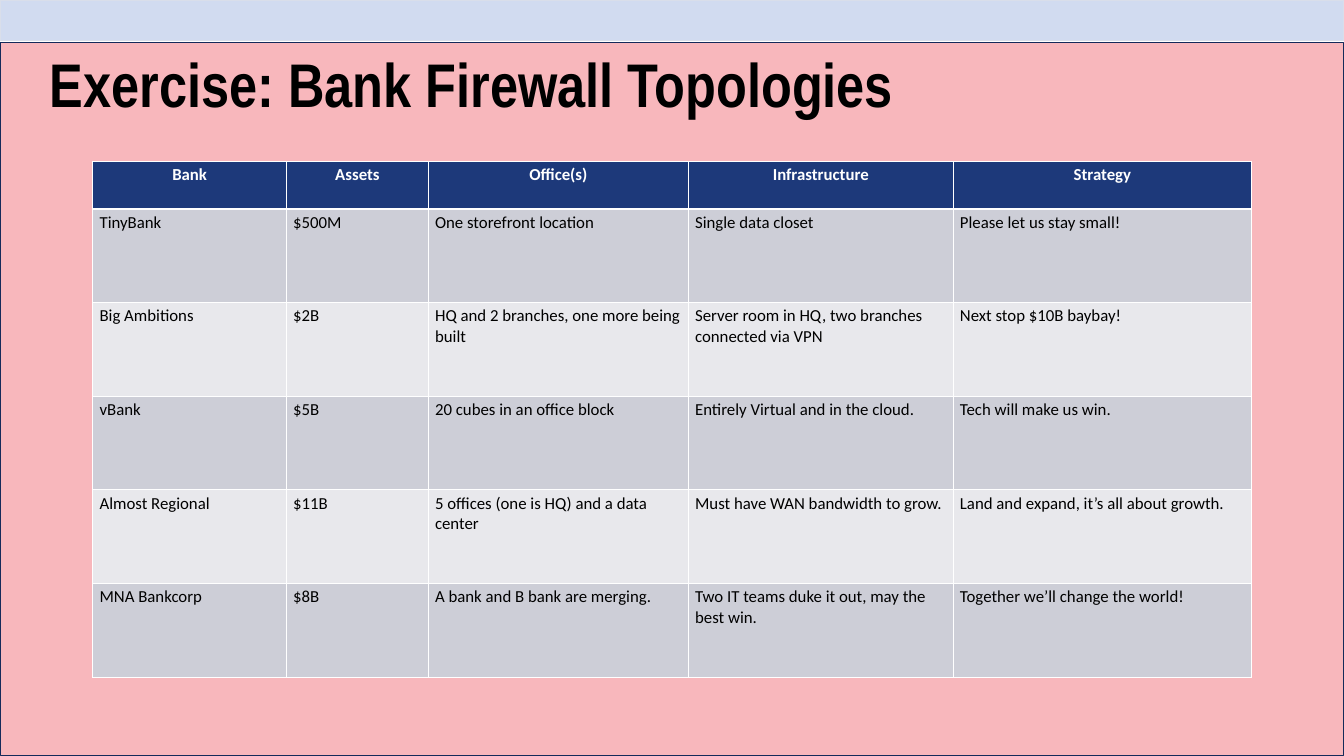
from dataclasses import dataclass

from lxml import etree
from pptx import Presentation
from pptx import util as u
from pptx.dml.color import RGBColor
from pptx.enum import shapes, text
from pptx.oxml import ns


@dataclass(frozen=True)
class Theme:
    strip: str = "D1DBF0"
    strip_line: str = "D9DEEA"
    panel: str = "EE4C59"
    panel_line: str = "152A5A"
    panel_opacity: int = 40
    header: str = "1D397A"
    bands: tuple = ("CDCED7", "E8E8EC")
    light: str = "FFFFFF"
    dark: str = "000000"
    title_font: str = "Arial Narrow"
    body_font: str = "Calibri"
    title_size: int = 66
    body_size: int = 18


theme = Theme()


def add_run(paragraph, words, font, size, color, bold):
    run = paragraph.add_run()
    run.text = words
    run.font.name = font
    run.font.size = u.Pt(size)
    run.font.bold = bold
    run.font.color.rgb = RGBColor.from_string(color)


def add_border(cell, side, points):
    """Draw one cell edge; call before the cell gets its fill."""
    properties = cell._tc.get_or_add_tcPr()
    line = etree.SubElement(properties, ns.qn(f"a:ln{side}"), w=str(u.Pt(points)))
    fill = etree.SubElement(line, ns.qn("a:solidFill"))
    etree.SubElement(fill, ns.qn("a:srgbClr"), val=theme.light)


presentation = Presentation()
presentation.slide_width = u.Cm(50.8)
presentation.slide_height = u.Cm(28.58)
slide = presentation.slides.add_slide(presentation.slide_layouts[6])

# Top strip and tinted panel
for top, height, color, line_color, opacity in (
    (0, 1.52, theme.strip, theme.strip_line, 100),
    (1.6, 26.98, theme.panel, theme.panel_line, theme.panel_opacity),
):
    shape = slide.shapes.add_shape(
        shapes.MSO_SHAPE.RECTANGLE, 0, u.Cm(top), presentation.slide_width, u.Cm(height)
    )
    shape.shadow.inherit = False
    shape.fill.solid()
    shape.fill.fore_color.rgb = RGBColor.from_string(color)
    shape.line.color.rgb = RGBColor.from_string(line_color)
    shape.line.width = u.Pt(1)
    if opacity < 100:
        fill_color = shape._element.spPr.find(ns.qn("a:solidFill"))[0]
        etree.SubElement(fill_color, ns.qn("a:alpha"), val=str(opacity * 1000))

# Title
title = slide.shapes.add_textbox(u.Cm(1.63), u.Cm(0.56), u.Cm(43.82), u.Cm(5.51))
title.text_frame.word_wrap = True
title.text_frame.vertical_anchor = text.MSO_ANCHOR.MIDDLE
paragraph = title.text_frame.paragraphs[0]
paragraph.line_spacing = 0.9
add_run(paragraph, "Exercise: Bank Firewall Topologies",
        theme.title_font, theme.title_size, theme.dark, True)

# Bank table
banks = [
    ("Bank", "Assets", "Office(s)", "Infrastructure", "Strategy"),
    ("TinyBank", "$500M", "One storefront location", "Single data closet",
     "Please let us stay small!"),
    ("Big Ambitions", "$2B", "HQ and 2 branches, one more being built",
     "Server room in HQ, two branches connected via VPN", "Next stop $10B baybay!"),
    ("vBank", "$5B", "20 cubes in an office block",
     "Entirely Virtual and in the cloud.", "Tech will make us win."),
    ("Almost Regional", "$11B", "5 offices (one is HQ) and a data center",
     "Must have WAN bandwidth to grow.", "Land and expand, it’s all about growth."),
    ("MNA Bankcorp", "$8B", "A bank and B bank are merging.",
     "Two IT teams duke it out, may the best win.", "Together we’ll change the world!"),
]
column_widths = (7.32, 5.36, 9.83, 10.01, 11.28)
header_height, row_height = 1.8, 3.54

table = slide.shapes.add_table(
    len(banks), len(column_widths), u.Cm(3.51), u.Cm(6.1),
    u.Cm(sum(column_widths)), u.Cm(header_height + row_height * (len(banks) - 1)),
).table
for column, width in zip(table.columns, column_widths):
    column.width = u.Cm(width)

for row_index, bank in enumerate(banks):
    is_header = row_index == 0
    table.rows[row_index].height = u.Cm(header_height if is_header else row_height)
    row_color = theme.header if is_header else theme.bands[(row_index - 1) % 2]
    for column_index, words in enumerate(bank):
        cell = table.cell(row_index, column_index)
        for side in "LRTB":
            heavy = (is_header and side == "B") or (row_index == 1 and side == "T")
            add_border(cell, side, 3 if heavy else 1)
        cell.fill.solid()
        cell.fill.fore_color.rgb = RGBColor.from_string(row_color)
        paragraph = cell.text_frame.paragraphs[0]
        paragraph.alignment = text.PP_ALIGN.CENTER if is_header else text.PP_ALIGN.LEFT
        add_run(paragraph, words, theme.body_font, theme.body_size,
                theme.light if is_header else theme.dark, is_header)

presentation.save("out.pptx")
